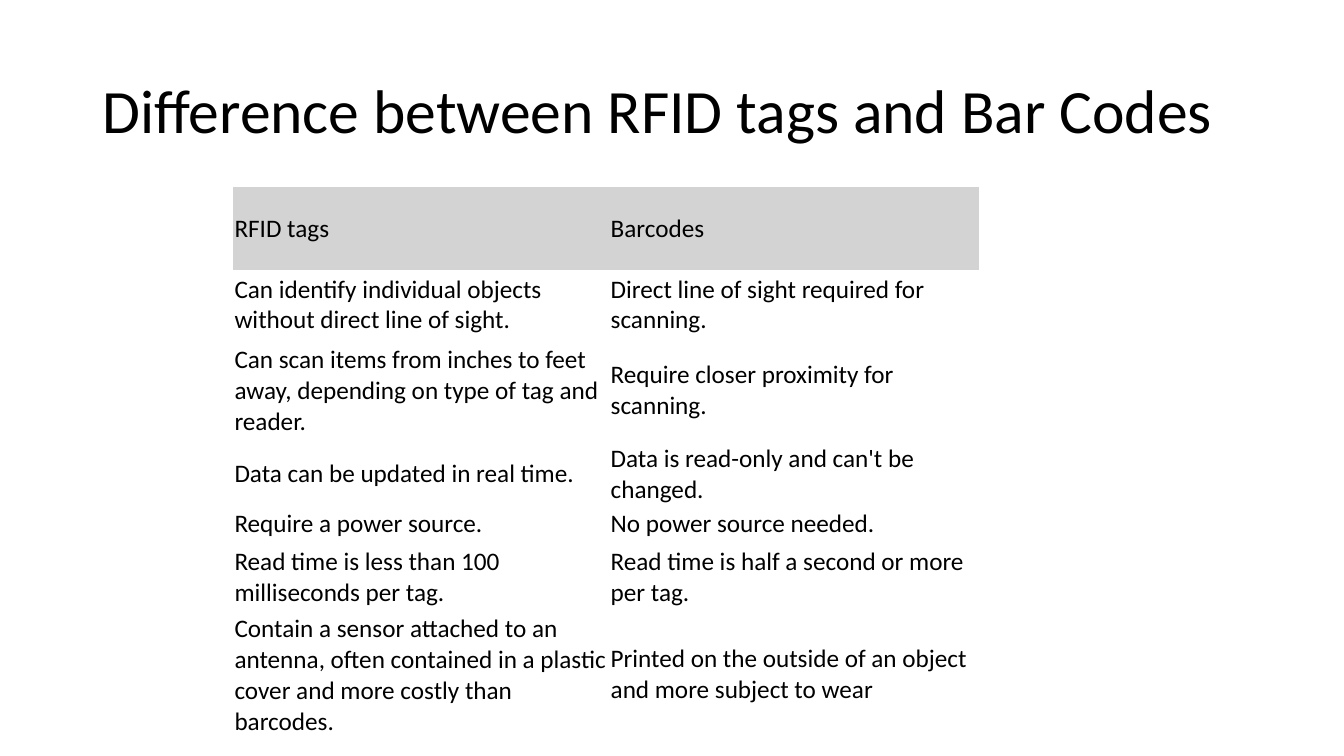
from pptx import Presentation
from pptx.dml.color import RGBColor
from pptx.enum.text import MSO_ANCHOR
from pptx.oxml.ns import qn
from pptx.util import Cm, Pt

MIDDLE = MSO_ANCHOR.MIDDLE
BLACK = RGBColor(0x00, 0x00, 0x00)
WHITE = RGBColor(0xFF, 0xFF, 0xFF)
GREY = RGBColor(0xD3, 0xD3, 0xD3)
FONT = "Calibri"
PLAIN = "{2D5ABB26-0587-4C30-8999-92F81FD0307C}"  # table style without grid
INSET = Cm(0.05)

# Row height in cm, then the two cells
ROWS = [
    (2.11, "RFID tags", "Barcodes"),
    (1.75, "Can identify individual objects without direct line of sight.",
     "Direct line of sight required for scanning."),
    (2.57, "Can scan items from inches to feet away, depending on type of tag and reader.",
     "Require closer proximity for scanning."),
    (1.35, "Data can be updated in real time.",
     "Data is read-only and can't be changed."),
    (0.91, "Require a power source.", "No power source needed."),
    (1.75, "Read time is less than 100 milliseconds per tag.",
     "Read time is half a second or more per tag."),
    (3.0, "Contain a sensor attached to an antenna, often contained in a plastic "
     "cover and more costly than barcodes.",
     "Printed on the outside of an object and more subject to wear"),
]


def add_run(para, text, size):
    run = para.add_run()
    run.text = text
    run.font.name = FONT
    run.font.size = Pt(size)
    run.font.color.rgb = BLACK


def add_title(slide, left, top, width, height):
    frame = slide.shapes.add_textbox(left, top, width, height).text_frame
    frame.word_wrap = True
    frame.vertical_anchor = MIDDLE
    para = frame.paragraphs[0]
    para.line_spacing = 0.9
    add_run(para, "Difference between RFID tags and Bar Codes", 44)


def fill_cell(cell, text, color):
    cell.vertical_anchor = MIDDLE
    cell.margin_left = cell.margin_right = INSET
    cell.margin_top = cell.margin_bottom = INSET
    if color is None:
        cell.fill.background()
    else:
        cell.fill.solid()
        cell.fill.fore_color.rgb = color
    add_run(cell.text_frame.paragraphs[0], text, 18)


def add_grid(slide, left, top, widths):
    height = Cm(sum(row[0] for row in ROWS))
    shape = slide.shapes.add_table(len(ROWS), len(widths), left, top, sum(widths), height)
    table = shape.table
    table.first_row = table.horz_banding = False
    table._tbl.tblPr.find(qn("a:tableStyleId")).text = PLAIN
    for col, width in zip(table.columns, widths):
        col.width = width
    for i, (tall, *texts) in enumerate(ROWS):
        table.rows[i].height = Cm(tall)
        for j, text in enumerate(texts):
            fill_cell(table.cell(i, j), text, GREY if i == 0 else None)


def main():
    deck = Presentation()
    deck.slide_width, deck.slide_height = Cm(33.87), Cm(19.05)
    slide = deck.slides.add_slide(deck.slide_layouts[6])
    slide.background.fill.solid()
    slide.background.fill.fore_color.rgb = WHITE
    add_title(slide, Cm(2.33), Cm(1.01), Cm(29.21), Cm(3.68))
    add_grid(slide, Cm(5.86), Cm(4.7), [Cm(9.48), Cm(9.32)])
    deck.save("out.pptx")


if __name__ == "__main__":
    main()
